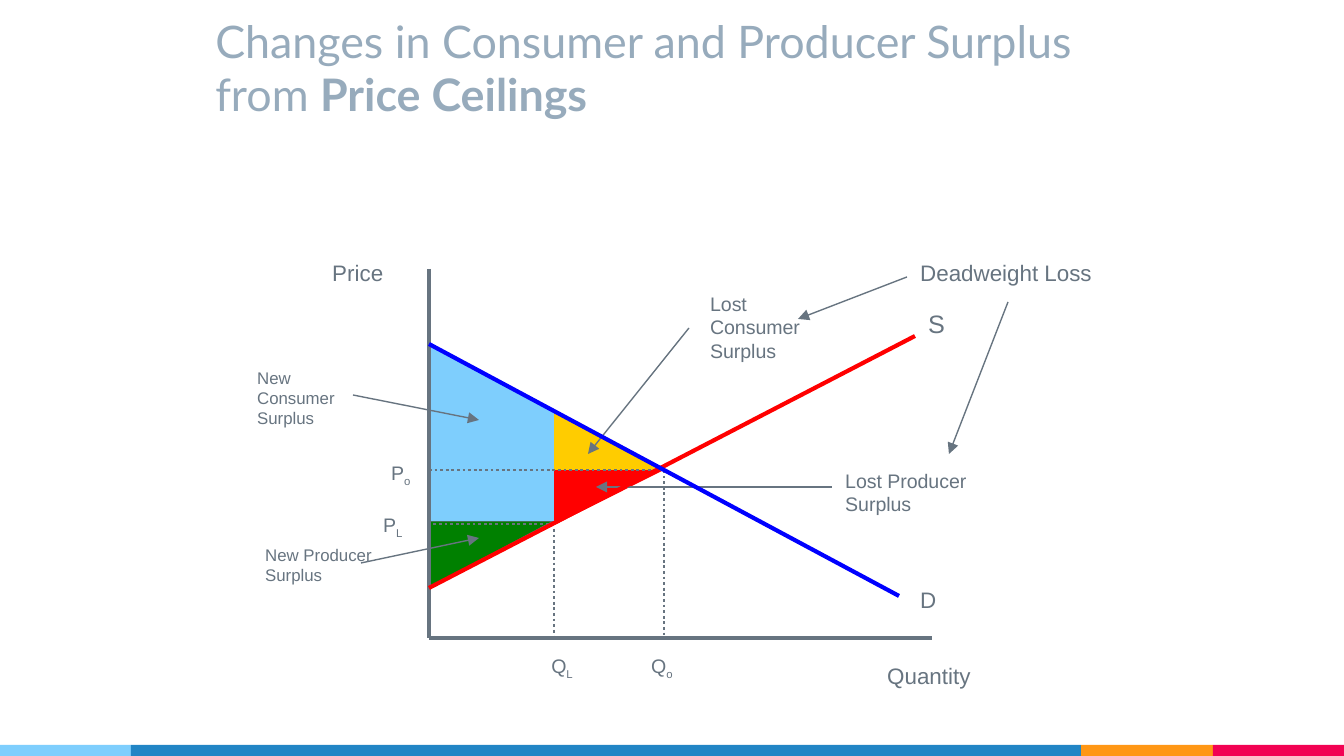
from lxml import etree
from pptx import Presentation
from pptx.dml.color import RGBColor
from pptx.enum.dml import MSO_LINE
from pptx.enum.shapes import MSO_CONNECTOR, MSO_SHAPE
from pptx.enum.text import MSO_ANCHOR, MSO_AUTO_SIZE
from pptx.oxml.ns import qn
from pptx.util import Pt

STRAIGHT = MSO_CONNECTOR.STRAIGHT
RECTANGLE = MSO_SHAPE.RECTANGLE
DOTTED = MSO_LINE.ROUND_DOT
BOTTOM, TOP = MSO_ANCHOR.BOTTOM, MSO_ANCHOR.TOP
GROW, FIXED = MSO_AUTO_SIZE.SHAPE_TO_FIT_TEXT, MSO_AUTO_SIZE.NONE
SCALE = 914400 / 134.4
WIDTH, HEIGHT = 1344, 756

THEME = {
    "title_font": "Lato", "label_font": "Arial",
    "title": "97ABBC", "ink": "677480", "sky": "7ECEFD", "blue": "2185C5",
    "orange": "FF9715", "pink": "F20253", "red": "FF0000", "green": "008000",
    "yellow": "FFCC00", "demand": "0000FF",
    "title_size": 24, "curve": 13.5, "axis": 12, "note": 10.5, "small": 9,
    "thin": 0.75, "guide": 1.5, "bold": 2.25,
}

AXIS_X, AXIS_TOP, AXIS_Y, AXIS_END = 429, 269, 638, 932
Q_LOW, Q_ZERO = 554, 664
P_LOW, P_ZERO = 521, 470
SUPPLY_START, DEMAND_START, DEMAND_AT_Q_LOW = 588, 344, 412
EQUILIBRIUM = (Q_ZERO, P_ZERO)

FOOTER = [("sky", 131), ("blue", 950), ("orange", 132), ("pink", 131)]

AREAS = [
    ("red", None, [(AXIS_X, SUPPLY_START), (AXIS_X, P_ZERO), EQUILIBRIUM]),
    ("green", "ink", [(AXIS_X, P_LOW), (AXIS_X, SUPPLY_START), (Q_LOW, P_LOW)]),
    ("yellow", None, [(AXIS_X, DEMAND_START), (AXIS_X, P_ZERO), EQUILIBRIUM]),
    ("sky", None, [(AXIS_X, DEMAND_START), (AXIS_X, P_LOW), (Q_LOW, P_LOW),
                   (Q_LOW, DEMAND_AT_Q_LOW)]),
]

TITLE = [("Changes in Consumer and Producer Surplus from ", {}),
         ("Price Ceilings", {"bold": True})]

LABELS = [
    ("New Producer Surplus", "", "small", (252, 538, 134, 54)),
    ("New Consumer Surplus", "", "small", (244, 361, 142, 54)),
    ("Price", "", "axis", (319, 253, 126, 40)),
    ("Quantity", "", "axis", (874, 656, 185, 40)),
    ("P", "o", "note", (378, 454, 51, 38)),
    ("P", "L", "note", (370, 506, 51, 38)),
    ("Q", "o", "note", (638, 647, 59, 38)),
    ("Q", "L", "note", (538, 647, 59, 38)),
    ("S", "", "curve", (915, 302, 51, 44)),
    ("D", "", "axis", (907, 580, 67, 40)),
    ("Lost Consumer Surplus", "", "note", (697, 285, 151, 85)),
    ("Lost Producer Surplus", "", "note", (832, 462, 217, 60)),
    ("Deadweight Loss", "", "axis", (907, 253, 210, 40)),
]

AXES = [(AXIS_X, AXIS_TOP, AXIS_X, AXIS_Y), (AXIS_X, AXIS_Y, AXIS_END, AXIS_Y)]
GUIDES = [
    (Q_ZERO, P_ZERO, Q_ZERO, AXIS_Y),
    (Q_LOW, 524, AXIS_X, 524),
    (AXIS_X, P_ZERO, Q_ZERO, P_ZERO),
    (Q_LOW, 529, Q_LOW, AXIS_Y),
]
ARROWS = [
    (361, 563, 479, 538),
    (353, 395, 479, 420),
    (689, 328, 588, 454),
    (832, 487, 596, 487),
    (907, 277, 798, 319),
    (1008, 302, 949, 454),
]
CURVES = [("red", (AXIS_X, SUPPLY_START, 915, 336)),
          ("demand", (AXIS_X, DEMAND_START, 899, 596))]


def emu(pixels):
    return round(pixels * SCALE)


def color(name):
    return RGBColor.from_string(THEME[name])


def paint(shape, fill, outline=None):
    shape.shadow.inherit = False
    shape.fill.solid()
    shape.fill.fore_color.rgb = color(fill)
    if outline:
        shape.line.color.rgb = color(outline)
        shape.line.width = Pt(THEME["thin"])
    else:
        shape.line.fill.background()


def add_area(page, fill, outline, points):
    builder = page.shapes.build_freeform(*points[0], scale=SCALE)
    builder.add_line_segments(points[1:], close=True)
    paint(builder.convert_to_shape(), fill, outline)


def add_line(page, ends, ink, weight, dash=None, arrow=False):
    line = page.shapes.add_connector(STRAIGHT, *map(emu, ends))
    line.line.color.rgb = color(ink)
    line.line.width = Pt(THEME[weight])
    if dash:
        line.line.dash_style = dash
    if arrow:
        etree.SubElement(line.line._get_or_add_ln(), qn("a:tailEnd"), type="triangle")
    etree.SubElement(line._element.spPr, qn("a:effectLst"))


def add_text(page, spans, frame, size, font, ink, anchor=TOP, fit=GROW, inset=None):
    box = page.shapes.add_textbox(*map(emu, frame))
    body = box.text_frame
    body.word_wrap = True
    body.auto_size = fit
    body.vertical_anchor = anchor
    if inset is not None:
        body.margin_top = body.margin_bottom = emu(inset)
    para = body.paragraphs[0]
    for text, style in spans:
        span = para.add_run()
        span.text = text
        span.font.name = THEME[font]
        span.font.size = Pt(THEME[size])
        span.font.color.rgb = color(ink)
        span.font.bold = style.get("bold")
        if "baseline" in style:
            span.font._element.set("baseline", str(style["baseline"]))


deck = Presentation()
deck.slide_width, deck.slide_height = emu(WIDTH), emu(HEIGHT)
page = deck.slides.add_slide(deck.slide_layouts[6])

left = 0
for fill, width in FOOTER:
    band = page.shapes.add_shape(RECTANGLE, *map(emu, (left, 745, width, 11)))
    paint(band, fill)
    left += width

for area in AREAS:
    add_area(page, *area)

add_text(page, TITLE, (202, 25, 885, 109), "title_size", "title_font", "title",
         BOTTOM, FIXED, 13)

for text, subscript, size, frame in LABELS:
    spans = [(text, {})]
    if subscript:
        spans.append((subscript, {"baseline": -25000}))
    add_text(page, spans, frame, size, "label_font", "ink")

for ends in AXES:
    add_line(page, ends, "ink", "bold")
for ends in GUIDES:
    add_line(page, ends, "ink", "guide", dash=DOTTED)
for ends in ARROWS:
    add_line(page, ends, "ink", "thin", arrow=True)
for ink, ends in CURVES:
    add_line(page, ends, ink, "bold")

deck.save("out.pptx")
